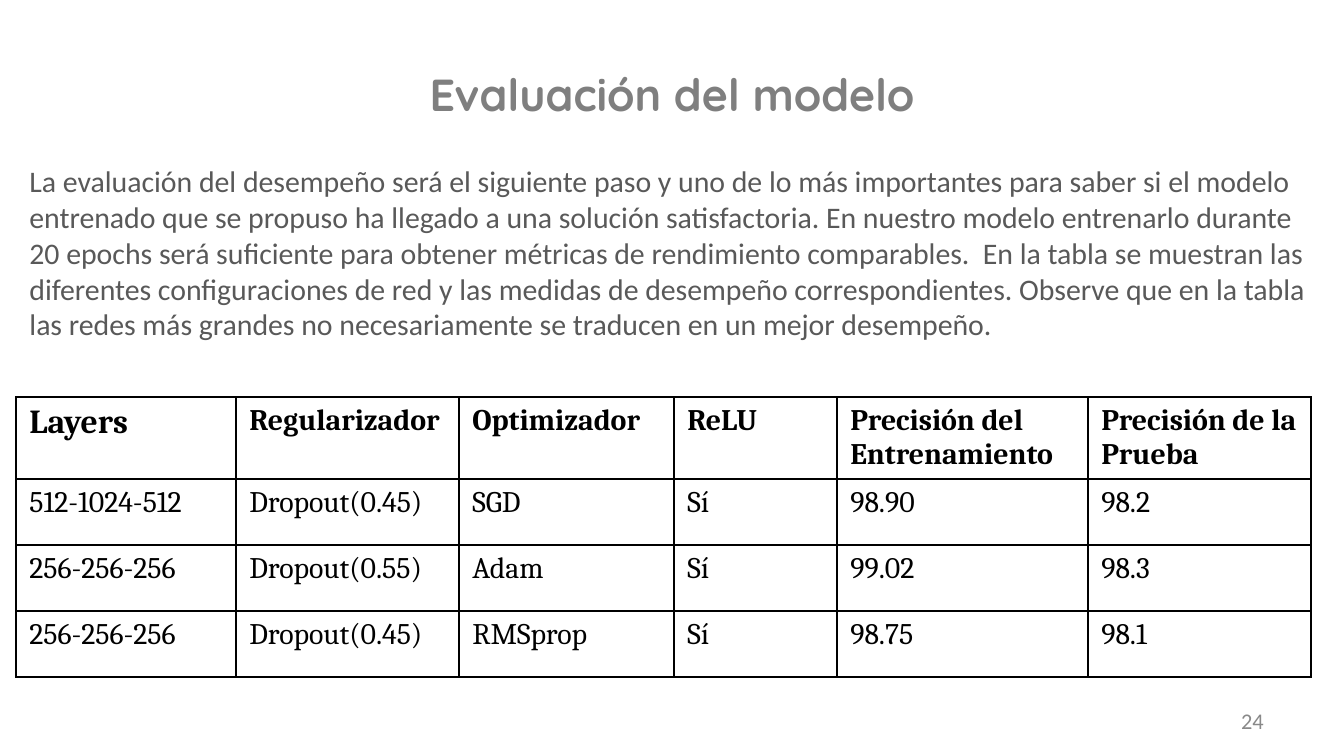
from lxml.etree import SubElement
from pptx import Presentation
from pptx.dml.color import RGBColor
from pptx.enum.text import MSO_ANCHOR as Anchor, MSO_AUTO_SIZE as AutoSize, PP_ALIGN as Align
from pptx.oxml.ns import qn
from pptx.util import Emu, Pt

EMU_PER_PX = 914400 / 134.4
COLORS = {"title": "7F7F7F", "body": "595959", "number": "898989", "table": "000000"}
COL_WIDTHS = [220, 223, 215, 163, 251, 223]
ROW_HEIGHTS = [82, 66, 66, 66]
ROWS = [
    ["Layers", "Regularizador", "Optimizador", "ReLU",
     "Precisión del Entrenamiento", "Precisión de la Prueba"],
    ["512-1024-512", "Dropout(0.45)", "SGD", "Sí", "98.90", "98.2"],
    ["256-256-256", "Dropout(0.55)", "Adam", "Sí", "99.02", "98.3"],
    ["256-256-256", "Dropout(0.45)", "RMSprop", "Sí", "98.75", "98.1"],
]
BODY = (
    "La evaluación del desempeño será el siguiente paso y uno de lo más importantes "
    "para saber si el modelo entrenado que se propuso ha llegado a una solución "
    "satisfactoria. En nuestro modelo entrenarlo durante 20 epochs será suficiente para "
    "obtener métricas de rendimiento comparables.  En la tabla se muestran las diferentes "
    "configuraciones de red y las medidas de desempeño correspondientes. Observe que en la "
    "tabla las redes más grandes no necesariamente se traducen en un mejor desempeño."
)


def px(n):
    return Emu(round(n * EMU_PER_PX))


class SlideBuilder:
    """Holds the style and the current slide."""

    def __init__(self, prs):
        self.slide = prs.slides.add_slide(prs.slide_layouts[1])

    def add_text(self, tf, text, font, size, color, bold=False, align=Align.LEFT):
        p = tf.paragraphs[0]
        p.alignment = align
        r = p.add_run()
        r.text = text
        r.font.name, r.font.size, r.font.bold = font, Pt(size), bold
        r.font.color.rgb = RGBColor.from_string(COLORS[color])
        return p

    def place(self, sp, box, anchor):
        sp.left, sp.top, sp.width, sp.height = map(px, box)
        tf = sp.text_frame
        tf.word_wrap = True
        tf.auto_size = AutoSize.NONE
        tf.vertical_anchor = anchor
        return tf

    def title(self, box, text):
        tf = self.place(self.slide.shapes.title, box, Anchor.MIDDLE)
        self.add_text(tf, text, "Quicksand", 24, "title", True, Align.CENTER)

    def body(self, box, text):
        tf = self.place(self.slide.placeholders[1], box, Anchor.TOP)
        pPr = self.add_text(tf, text, "Calibri", 16, "body")._p.get_or_add_pPr()
        pPr.set("marL", "0")
        pPr.set("indent", "0")
        SubElement(pPr, qn("a:buNone"))

    def number(self, box, text):
        sp = self.slide.shapes.add_textbox(*map(px, box))
        tf = self.place(sp, box, Anchor.MIDDLE)
        self.add_text(tf, text, "Calibri", 12, "number", align=Align.RIGHT)

    def borders(self, cell):
        tcPr = cell._tc.get_or_add_tcPr()
        for side in ("lnL", "lnR", "lnT", "lnB"):
            ln = SubElement(tcPr, qn(f"a:{side}"), w=str(Pt(1)))
            fill = SubElement(ln, qn("a:solidFill"))
            SubElement(fill, qn("a:srgbClr"), val=COLORS["table"])

    def table(self, left, top, rows, widths, heights):
        box = map(px, (left, top, sum(widths), sum(heights)))
        table = self.slide.shapes.add_table(len(rows), len(widths), *box).table
        table.first_row = table.horz_banding = False
        for col, width in zip(table.columns, widths):
            col.width = px(width)
        for row, height in zip(table.rows, heights):
            row.height = px(height)
        for i, texts in enumerate(rows):
            for j, text in enumerate(texts):
                cell = table.cell(i, j)
                self.borders(cell)
                cell.fill.background()
                size = 18 if i == j == 0 else 16
                self.add_text(cell.text_frame, text, "Cambria", size, "table", bold=i == 0)


def main():
    prs = Presentation()
    prs.slide_width, prs.slide_height = px(1344), px(756)
    s = SlideBuilder(prs)
    s.title((67, 31, 1210, 126), "Evaluación del modelo")
    s.body((16, 156, 1308, 222), BODY)
    s.number((964, 701, 313, 40), "24")
    s.table(16, 397, ROWS, COL_WIDTHS, ROW_HEIGHTS)
    prs.save("out.pptx")


if __name__ == "__main__":
    main()
